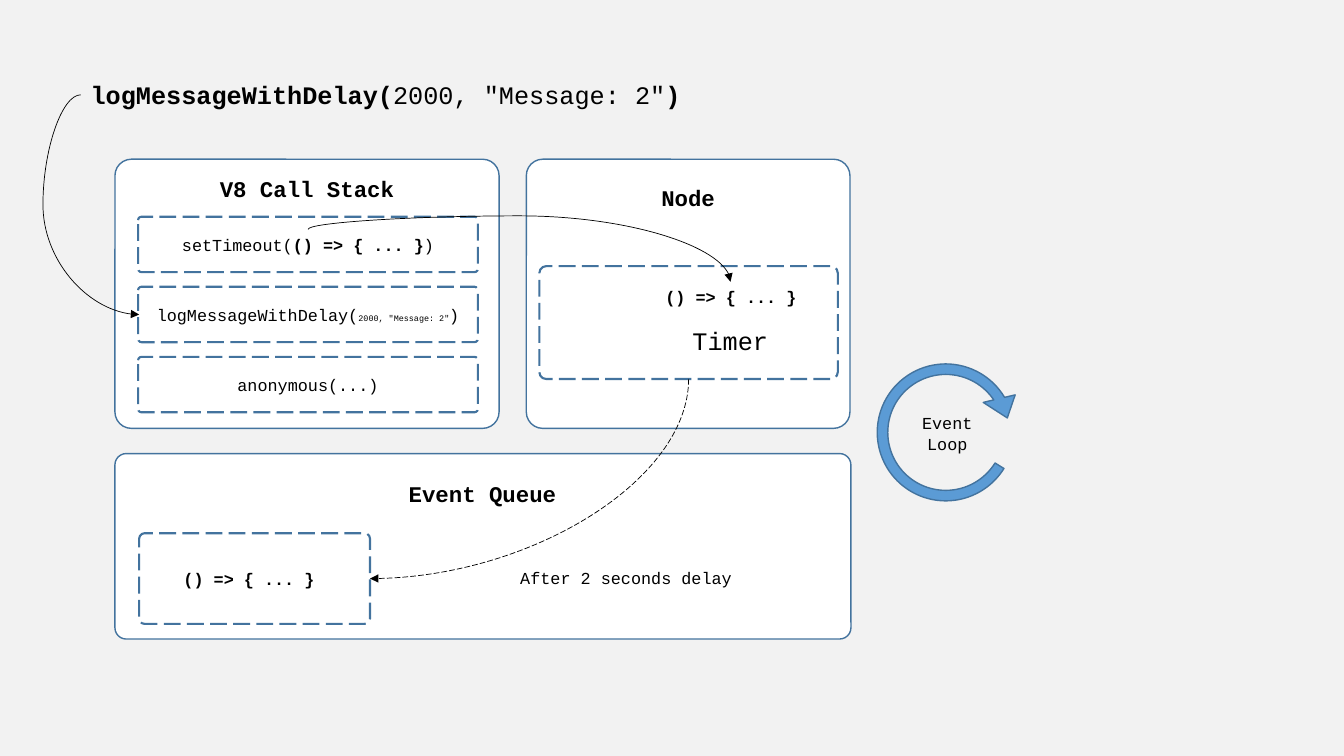
"""Build a slide on how a delayed message passes through the event loop."""
from lxml.etree import SubElement
from pptx import Presentation
from pptx.dml.color import RGBColor
from pptx.enum.dml import MSO_LINE as Dash
from pptx.enum.shapes import MSO_CONNECTOR as Link, MSO_SHAPE as Shape
from pptx.enum.text import MSO_ANCHOR as Anchor, MSO_AUTO_SIZE as AutoSize, PP_ALIGN as Align
from pptx.oxml.ns import qn
from pptx.util import Inches, Pt

THEME = {
    "font": "Courier New",
    "page": "F2F2F2", "panel": "FFFFFF", "border": "43739E",
    "loop": "5B9BD5", "ink": "000000",
    "call": 18, "title": 16, "body": 12, "argument": 6,
    "panel_line": 1, "frame_line": 1.5, "arrow_line": 0.5,
    "corner": 0.061,
}
CALLBACK = [("() => { ... }", "body", True)]

PANELS = [(1.14, 1.58, 3.81, 2.67), (5.22, 1.58, 3.21, 2.67), (1.14, 4.5, 7.3, 1.84)]
STACK_FRAME, STACK_STEP = (1.37, 2.15, 3.37, 0.55), 0.695
STACK_CALLS = [
    [("setTimeout(", "body", False), *CALLBACK, (")", "body", False)],
    [("logMessageWithDelay(", "body", False),
     ('2000, "Message: 2"', "argument", False), (")", "body", False)],
    [("anonymous(...)", "body", False)],
]
TIMER_FRAME, QUEUE_FRAME = (5.35, 2.64, 2.96, 1.12), (1.38, 5.29, 2.29, 0.9)
LOOP_BOX = (8.59, 3.5, 1.58, 1.58)
LOOP_ADJUSTMENTS = (0.066, 11.423, 196.628, 19.083, 0.103)

LABELS = [
    ((0.8, 0.74, 6.16, 0.4), Align.LEFT,
     [("logMessageWithDelay(", "call", True),
      ('2000, "Message: 2"', "call", False), (")", "call", True)]),
    ((1.93, 1.69, 2.23, 0.37), Align.CENTER, [("V8 Call Stack", "title", True)]),
    ((5.71, 1.78, 2.23, 0.37), Align.CENTER, [("Node", "title", True)]),
    ((3.67, 4.71, 2.23, 0.37), Align.CENTER, [("Event Queue", "title", True)]),
    ((6.25, 2.8, 2, 0.3), Align.CENTER, CALLBACK),
    ((6.77, 3.18, 0.96, 0.4), Align.LEFT, [("Timer", "call", False)]),
    ((8.8, 4.05, 1.19, 0.5), Align.CENTER, [("Event Loop", "body", False)]),
    ((1.47, 5.59, 2, 0.3), Align.CENTER, CALLBACK),
    ((4.66, 5.58, 3.1, 0.3), Align.CENTER, [("After 2 seconds delay", "body", False)]),
]
ARROWS = [
    {"box": (0.8, 0.94, 0.58, 2.18), "turn": 180, "flip": "hv",
     "curve": "curvedConnector3", "bend": -0.646, "dash": None},
    {"box": (4.89, 0.44, 0.52, 4.19), "turn": 270, "flip": "h",
     "curve": "curvedConnector3", "bend": -0.258, "dash": None},
    {"box": (4.26, 3.17, 1.98, 3.16), "turn": 90, "flip": "",
     "curve": "curvedConnector2", "bend": None, "dash": Dash.LONG_DASH},
]


def color(name):
    return RGBColor.from_string(THEME[name])


def add_outline(page, kind, box, adjustments, fill=None, width="panel_line", dash=None):
    shape = page.shapes.add_shape(kind, *map(Inches, box))
    shape.shadow.inherit = False
    for index, value in enumerate(adjustments):
        shape.adjustments[index] = value
    if fill:
        shape.fill.solid()
        shape.fill.fore_color.rgb = color(fill)
    else:
        shape.fill.background()
    shape.line.color.rgb = color("border")
    shape.line.width = Pt(THEME[width])
    if dash:
        shape.line.dash_style = dash


def add_frame(page, box):
    add_outline(page, Shape.ROUNDED_RECTANGLE, box, [THEME["corner"]],
                width="frame_line", dash=Dash.LONG_DASH)


def add_label(page, box, align, spans):
    frame = page.shapes.add_textbox(*map(Inches, box)).text_frame
    frame.word_wrap = True
    frame.auto_size = AutoSize.SHAPE_TO_FIT_TEXT
    frame.vertical_anchor = Anchor.TOP
    para = frame.paragraphs[0]
    para.alignment = align
    for text, size, bold in spans:
        span = para.add_run()
        span.text = text
        span.font.name = THEME["font"]
        span.font.size = Pt(THEME[size])
        span.font.bold = bold
        span.font.color.rgb = color("ink")


def add_arrow(page, box, turn, flip, curve, bend, dash):
    left, top, width, height = box
    across, down = [left, left + width], [top, top + height]
    if "h" in flip:
        across.reverse()
    if "v" in flip:
        down.reverse()
    ends = (across[0], down[0], across[1], down[1])
    arrow = page.shapes.add_connector(Link.CURVE, *map(Inches, ends))
    arrow.line.color.rgb = color("ink")
    arrow.line.width = Pt(THEME["arrow_line"])
    if dash:
        arrow.line.dash_style = dash
    properties = arrow._element.spPr
    properties.find(qn("a:xfrm")).set("rot", str(turn * 60000))
    geometry = properties.find(qn("a:prstGeom"))
    geometry.set("prst", curve)
    if bend is not None:
        SubElement(geometry.find(qn("a:avLst")), qn("a:gd"),
                   name="adj1", fmla=f"val {round(bend * 100000)}")
    SubElement(properties.find(qn("a:ln")), qn("a:tailEnd"), type="triangle")
    SubElement(properties, qn("a:effectLst"))


def main():
    deck = Presentation()
    deck.slide_width, deck.slide_height = Inches(13.33), Inches(7.5)
    page = deck.slides.add_slide(deck.slide_layouts[6])
    page.background.fill.solid()
    page.background.fill.fore_color.rgb = color("page")

    for box in PANELS:
        add_outline(page, Shape.ROUNDED_RECTANGLE, box, [THEME["corner"]], "panel")
    add_outline(page, Shape.CIRCULAR_ARROW, LOOP_BOX, LOOP_ADJUSTMENTS, "loop")

    left, top, width, height = STACK_FRAME
    label_height = 0.3
    for index, spans in enumerate(STACK_CALLS):
        frame_top = top + index * STACK_STEP
        add_frame(page, (left, frame_top, width, height))
        label_top = frame_top + (height - label_height) / 2
        add_label(page, (left, label_top, width, label_height), Align.CENTER, spans)
    for box in (TIMER_FRAME, QUEUE_FRAME):
        add_frame(page, box)

    for label in LABELS:
        add_label(page, *label)
    for arrow in ARROWS:
        add_arrow(page, **arrow)
    deck.save("out.pptx")


if __name__ == "__main__":
    main()
